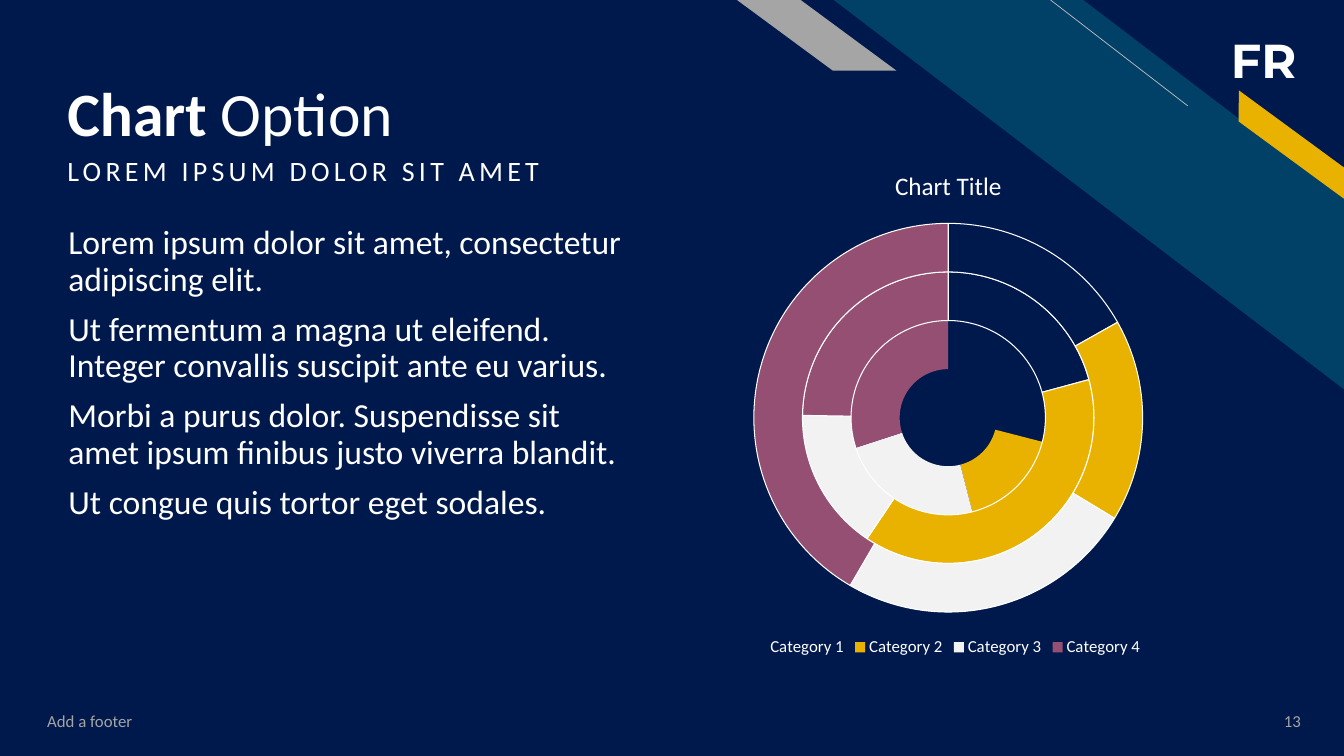
from dataclasses import dataclass, field

from lxml import etree
from pptx import Presentation
from pptx import util as u
from pptx.chart import data as chd
from pptx.dml.color import RGBColor
from pptx.enum import chart as ch, shapes, text
from pptx.oxml import ns

NAVY = RGBColor(0x00, 0x19, 0x4C)
TEAL = RGBColor(0x01, 0x40, 0x67)
GOLD = RGBColor(0xEA, 0xB2, 0x00)
GRAY = RGBColor(0xA5, 0xA5, 0xA5)
SILVER = RGBColor(0xBF, 0xBF, 0xBF)
PALE = RGBColor(0xF2, 0xF2, 0xF2)
PLUM = RGBColor(0x95, 0x4F, 0x72)
WHITE = RGBColor(0xFF, 0xFF, 0xFF)
INK = RGBColor(0x3F, 0x3F, 0x3F)

Box = tuple[float, float, float, float]
KIND = shapes.MSO_SHAPE
TOP, MIDDLE, BOTTOM = (text.MSO_ANCHOR.TOP, text.MSO_ANCHOR.MIDDLE,
                       text.MSO_ANCHOR.BOTTOM)


@dataclass
class Block:
    kind: int
    box: Box
    color: RGBColor
    slant: float | None = None
    turn: float = 0


@dataclass
class Label:
    """Paragraphs are lists of (words, bold) runs."""
    box: Box
    paras: list[list[tuple[str, bool]]]
    size: int
    color: RGBColor = WHITE
    face: str = "Calibri"
    track: int = 0
    frame: dict = field(default_factory=dict)
    para: dict = field(default_factory=dict)


@dataclass
class Ring:
    name: str
    shares: tuple[int, ...]
    edged: bool = True


BLOCKS = [
    Block(KIND.DIAGONAL_STRIPE, (8.27, 0, 5.07, 3.87), TEAL, 0.512),
    Block(KIND.PARALLELOGRAM, (12.07, 1.31, 1.48, 0.25), GOLD, 0.72, 36.3),
    Block(KIND.PARALLELOGRAM, (7.31, 0, 1.58, 0.7), GRAY, 1.356),
]

BODY = [
    "Lorem ipsum dolor sit amet, consectetur adipiscing elit.",
    "Ut fermentum a magna ut eleifend. Integer convallis suscipit ante eu varius.",
    "Morbi a purus dolor. Suspendisse sit amet ipsum finibus justo viverra blandit.",
    "Ut congue quis tortor eget sodales.",
]
FLOW = {"line_spacing": 0.9, "space_before": u.Pt(10)}

LABELS = [
    Label((12.11, 0.26, 0.89, 0.67), [[("FR", True)]], 34, face="Montserrat",
          frame={"word_wrap": False}),
    Label((0.57, 0.23, 9.11, 1.26), [[("Chart ", True), ("Option", False)]], 44,
          frame={"vertical_anchor": BOTTOM, "margin_bottom": 0},
          para={"line_spacing": 0.9}),
    Label((0.57, 1.51, 8.06, 0.67), [[("LOREM IPSUM DOLOR SIT AMET", False)]], 20,
          track=300, para=FLOW),
    Label((0.58, 2.19, 5.71, 4.47), [[(line, False)] for line in BODY], 24, para=FLOW),
    Label((0.37, 6.95, 4.5, 0.4), [[("Add a footer", False)]], 12, GRAY,
          frame={"vertical_anchor": MIDDLE}),
    Label((12.19, 6.95, 0.81, 0.4), [[("13", False)]], 12, GRAY,
          frame={"vertical_anchor": MIDDLE}, para={"alignment": text.PP_ALIGN.RIGHT}),
]

GROUPS = {"Category 1": NAVY, "Category 2": GOLD, "Category 3": PALE, "Category 4": PLUM}
RINGS = [
    Ring("Series 1", (29, 17, 24, 30), edged=False),
    Ring("Series 2", (21, 39, 16, 25)),
    Ring("Series 3", (17, 17, 25, 42)),
]


def apply(target, values: dict) -> None:
    for name, value in values.items():
        setattr(target, name, value)


def style(font, size: int, color: RGBColor, face: str = "Calibri", bold: bool = False) -> None:
    apply(font, {"size": u.Pt(size), "name": face, "bold": bold})
    font.color.rgb = color


def place(box: Box) -> list[u.Length]:
    return [u.Inches(side) for side in box]


def draw_block(slide, block: Block) -> None:
    """Slanted blocks are mirrored left to right."""
    shape = slide.shapes.add_shape(block.kind, *place(block.box))
    shape.shadow.inherit = False
    shape.fill.solid()
    shape.fill.fore_color.rgb = block.color
    shape.line.fill.background()
    shape.rotation = block.turn
    if block.slant is not None:
        shape.adjustments[0] = block.slant
        shape.element.spPr.get_or_add_xfrm().set("flipH", "1")


def draw_line(slide) -> None:
    line = slide.shapes.add_connector(
        shapes.MSO_CONNECTOR.STRAIGHT, *place((11.78, 1.05, 10.42, 0)))
    line.line.color.rgb = SILVER
    line.line.width = u.Pt(0.5)
    etree.SubElement(line.element.spPr, ns.qn("a:effectLst"))


def draw_label(slide, label: Label) -> None:
    frame = slide.shapes.add_textbox(*place(label.box)).text_frame
    apply(frame, {"word_wrap": True, "vertical_anchor": TOP} | label.frame)
    for index, runs in enumerate(label.paras):
        para = frame.add_paragraph() if index else frame.paragraphs[0]
        apply(para, label.para)
        for words, bold in runs:
            run = para.add_run()
            run.text = words
            style(run.font, label.size, label.color, label.face, bold)
            if label.track:
                run.font._element.set("spc", str(label.track))


def draw_chart(slide) -> None:
    data = chd.CategoryChartData()
    data.categories = list(GROUPS)
    for ring in RINGS:
        data.add_series(ring.name, ring.shares)
    chart = slide.shapes.add_chart(
        ch.XL_CHART_TYPE.DOUGHNUT, *place((5.52, 1.47, 7.77, 5.09)), data).chart
    style(chart.font, 10, INK)

    chart.has_title = True
    title = chart.chart_title.text_frame
    title.text = "Chart Title"
    style(title.paragraphs[0].runs[0].font, 18, WHITE)

    chart.has_legend = True
    apply(chart.legend, {"position": ch.XL_LEGEND_POSITION.BOTTOM,
                         "include_in_layout": False})
    style(chart.legend.font, 12, WHITE)

    plot = chart.plots[0]
    plot.vary_by_categories = True
    for ring, series in zip(RINGS, plot.series):
        for index, color in enumerate(GROUPS.values()):
            form = series.points[index].format
            form.fill.solid()
            form.fill.fore_color.rgb = color
            if ring.edged:
                form.line.color.rgb = WHITE
                form.line.width = u.Pt(0.75)
            else:
                form.line.fill.background()


def main() -> None:
    deck = Presentation()
    apply(deck, {"slide_width": u.Inches(13.33), "slide_height": u.Inches(7.5)})
    slide = deck.slides.add_slide(deck.slide_layouts[6])
    draw_block(slide, Block(KIND.RECTANGLE, (0, 0, 13.33, 7.5), NAVY))
    for block in BLOCKS:
        draw_block(slide, block)
    draw_line(slide)
    for label in LABELS:
        draw_label(slide, label)
    draw_chart(slide)
    deck.save("out.pptx")


if __name__ == "__main__":
    main()
